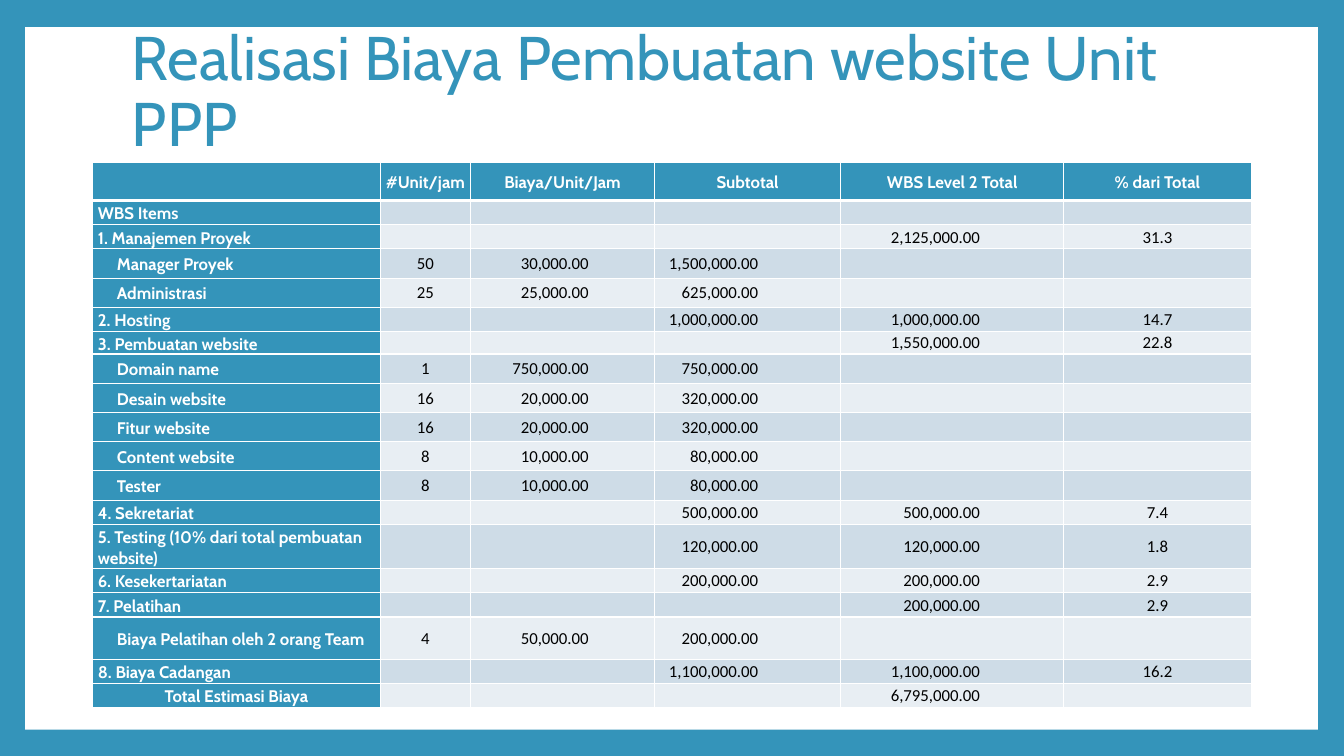
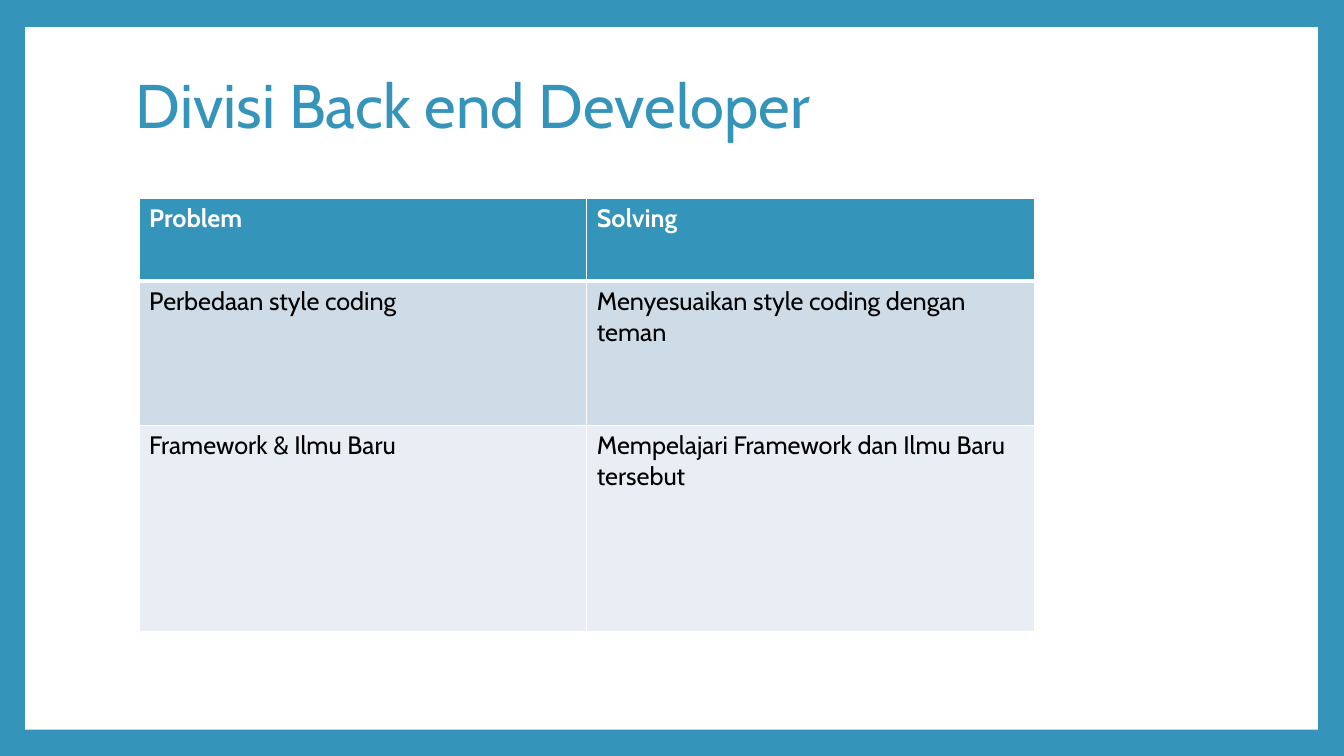
from dataclasses import dataclass, field
from typing import NamedTuple

from lxml.etree import SubElement
from pptx import Presentation
from pptx.dml.color import RGBColor
from pptx.enum.shapes import MSO_SHAPE
from pptx.enum.text import MSO_ANCHOR as Anchor, PP_ALIGN as Align
from pptx.oxml.ns import qn
from pptx.util import Inches, Pt

BLUE = RGBColor(0x34, 0x94, 0xBA)
WHITE = RGBColor(0xFF, 0xFF, 0xFF)
BLACK = RGBColor(0x00, 0x00, 0x00)
BANDS = (RGBColor(0xCE, 0xDC, 0xE7), RGBColor(0xE8, 0xEE, 0xF3))
HEADING_FONT = "Cabin"
FIGURE_FONT = "Calibri"
THIN, THICK = Pt(1), Pt(3)


@dataclass(frozen=True)
class CellStyle:
    fill: RGBColor
    color: RGBColor = BLACK
    font: str = HEADING_FONT
    size: int = 18
    bold: bool = False
    align: Align = Align.LEFT
    spacing: float = 1.0
    frame: dict = field(default_factory=dict)


class Cost(NamedTuple):
    item: str
    units: str = ""
    rate: str = ""
    subtotal: str = ""
    total: str = ""
    percent: str = ""
    height: float = 0.24
    level: int = 0


def task(item: str, units: str, rate: str, subtotal: str,
         height: float = 0.29) -> Cost:
    """Cost line indented below its work package."""
    return Cost(item, units, rate, subtotal, height=height, level=1)


COST_HEADER = Cost("", "#Unit/jam", "Biaya/Unit/Jam", "Subtotal",
                   "WBS Level 2 Total", "% dari Total", height=0.38)
COSTS = [
    Cost("WBS Items"),
    Cost("1. Manajemen Proyek", total="2,125,000.00", percent="31.3"),
    task("Manager Proyek", "50", "30,000.00", "1,500,000.00"),
    task("Administrasi", "25", "25,000.00", "625,000.00"),
    Cost("2. Hosting", "", "", "1,000,000.00", "1,000,000.00", "14.7"),
    Cost("3. Pembuatan website", total="1,550,000.00", percent="22.8",
         height=0.22),
    task("Domain name", "1", "750,000.00", "750,000.00"),
    task("Desain website", "16", "20,000.00", "320,000.00"),
    task("Fitur website", "16", "20,000.00", "320,000.00"),
    task("Content website", "8", "10,000.00", "80,000.00"),
    task("Tester", "8", "10,000.00", "80,000.00"),
    Cost("4. Sekretariat", "", "", "500,000.00", "500,000.00", "7.4"),
    Cost("5. Testing (10% dari total pembuatan website)", "", "",
         "120,000.00", "120,000.00", "1.8", height=0.44),
    Cost("6. Kesekertariatan", "", "", "200,000.00", "200,000.00", "2.9"),
    Cost("7. Pelatihan", total="200,000.00", percent="2.9"),
    task("Biaya Pelatihan oleh 2 orang Team", "4", "50,000.00", "200,000.00",
         height=0.42),
    Cost("8. Biaya Cadangan", "", "", "1,100,000.00", "1,100,000.00", "16.2"),
    Cost("Total Estimasi Biaya", total="6,795,000.00"),
]
COST_FIELDS = ("item", "units", "rate", "subtotal", "total", "percent")
COST_WIDTHS = (2.85, 0.9, 1.82, 1.85, 2.21, 1.86)
AMOUNT_MARGINS = {"rate": 0.65, "subtotal": 0.82, "total": 0.83}

PROBLEMS = [
    ("Problem", "Solving"),
    ("Perbedaan style coding", "Menyesuaikan style coding dengan teman"),
    ("Framework & Ilmu Baru", "Mempelajari Framework dan Ilmu Baru tersebut"),
]


def apply(target, values: dict) -> None:
    for name, value in values.items():
        setattr(target, name, value)


def tight_frame(left: float = 0.05, right: float = 0.05) -> dict:
    return {"margin_left": Inches(left), "margin_right": Inches(right),
            "margin_top": Inches(0.01), "margin_bottom": 0,
            "vertical_anchor": Anchor.MIDDLE}


def add_framed_slide(prs, title: str, left: float, top: float):
    slide = prs.slides.add_slide(prs.slide_layouts[6])
    slide.background.fill.solid()
    slide.background.fill.fore_color.rgb = BLUE
    panel = slide.shapes.add_shape(MSO_SHAPE.RECTANGLE, Inches(0.25),
                                   Inches(0.27), Inches(12.82), Inches(6.97))
    panel.shadow.inherit = False
    panel.fill.solid()
    panel.fill.fore_color.rgb = WHITE
    panel.line.fill.background()

    heading = slide.shapes.add_textbox(Inches(left), Inches(top),
                                       Inches(10.8), Inches(1.48)).text_frame
    apply(heading, {"word_wrap": True, "vertical_anchor": Anchor.MIDDLE})
    line = heading.paragraphs[0]
    line.line_spacing = 0.9
    run = line.add_run()
    run.text = title
    apply(run.font, {"name": HEADING_FONT, "size": Pt(44)})
    run.font.color.rgb = BLUE
    return slide


def add_grid(slide, left: float, top: float, widths, heights):
    grid = slide.shapes.add_table(
        len(heights), len(widths), Inches(left), Inches(top),
        Inches(sum(widths)), Inches(sum(heights))).table
    apply(grid, {"first_row": False, "horz_banding": False})
    for column, width in zip(grid.columns, widths):
        column.width = Inches(width)
    for row, height in zip(grid.rows, heights):
        row.height = Inches(height)
    return grid


def draw_borders(cell, row: int) -> None:
    """White rules, thick between the header and the first row below it."""
    properties = cell._tc.get_or_add_tcPr()
    edges = {"L": THIN, "R": THIN, "T": THICK if row == 1 else THIN,
             "B": THICK if row == 0 else THIN}
    for side, width in edges.items():
        edge = SubElement(properties, qn(f"a:ln{side}"), w=str(int(width)))
        SubElement(SubElement(edge, qn("a:solidFill")), qn("a:srgbClr"),
                   val=str(WHITE))


def fill_cell(grid, row: int, column: int, text: str, style: CellStyle) -> None:
    cell = grid.cell(row, column)
    draw_borders(cell, row)
    cell.fill.solid()
    cell.fill.fore_color.rgb = style.fill
    apply(cell, style.frame)
    line = cell.text_frame.paragraphs[0]
    apply(line, {"alignment": style.align, "line_spacing": style.spacing})
    if not text:
        # An empty cell would otherwise take the height of 18 pt text
        SubElement(line._p, qn("a:endParaRPr"), sz=str(style.size * 100))
        return
    run = line.add_run()
    run.text = text
    apply(run.font, {"name": style.font, "size": Pt(style.size),
                     "bold": style.bold})
    run.font.color.rgb = style.color


def cost_style(row: int, name: str, cost: Cost) -> CellStyle:
    if row == 0 or name == "item":
        centred = row in (0, len(COSTS))
        indent = 0.19 * cost.level
        return CellStyle(BLUE, WHITE, size=12, bold=True, spacing=1.07,
                         align=Align.CENTER if centred else Align.LEFT,
                         frame=tight_frame(left=0.05 + indent))
    is_amount = name in AMOUNT_MARGINS
    return CellStyle(BANDS[(row - 1) % 2], font=FIGURE_FONT, size=12,
                     align=Align.RIGHT if is_amount else Align.CENTER,
                     frame=tight_frame(0.01, AMOUNT_MARGINS.get(name, 0.01)))


def build_cost_slide(prs) -> None:
    slide = add_framed_slide(
        prs, "Realisasi Biaya Pembuatan website Unit PPP", 1.21, 0.19)
    costs = [COST_HEADER, *COSTS]
    grid = add_grid(slide, 0.92, 1.61, COST_WIDTHS,
                    [cost.height for cost in costs])
    for row, cost in enumerate(costs):
        for column, name in enumerate(COST_FIELDS):
            fill_cell(grid, row, column, getattr(cost, name),
                      cost_style(row, name, cost))


def build_problem_slide(prs) -> None:
    slide = add_framed_slide(prs, "Divisi Back end Developer", 1.25, 0.34)
    grid = add_grid(slide, 1.38, 1.97, (4.44, 4.44), (0.82, 1.43, 2.05))
    styles = [CellStyle(BLUE, WHITE, bold=True), *map(CellStyle, BANDS)]
    for row, (texts, style) in enumerate(zip(PROBLEMS, styles)):
        for column, text in enumerate(texts):
            fill_cell(grid, row, column, text, style)


def main() -> None:
    prs = Presentation()
    apply(prs, {"slide_width": Inches(13.33), "slide_height": Inches(7.5)})
    build_cost_slide(prs)
    build_problem_slide(prs)
    prs.save("out.pptx")


if __name__ == "__main__":
    main()
